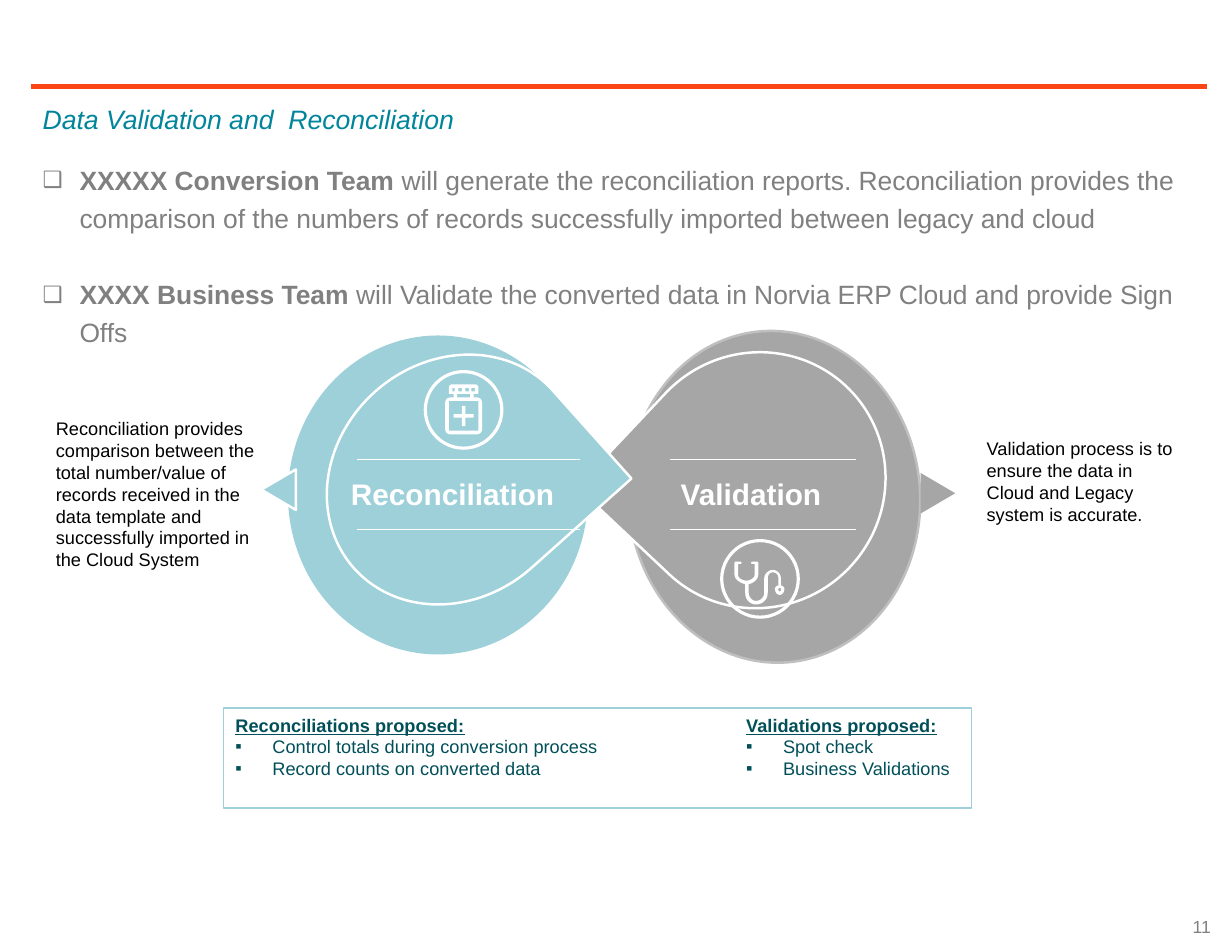
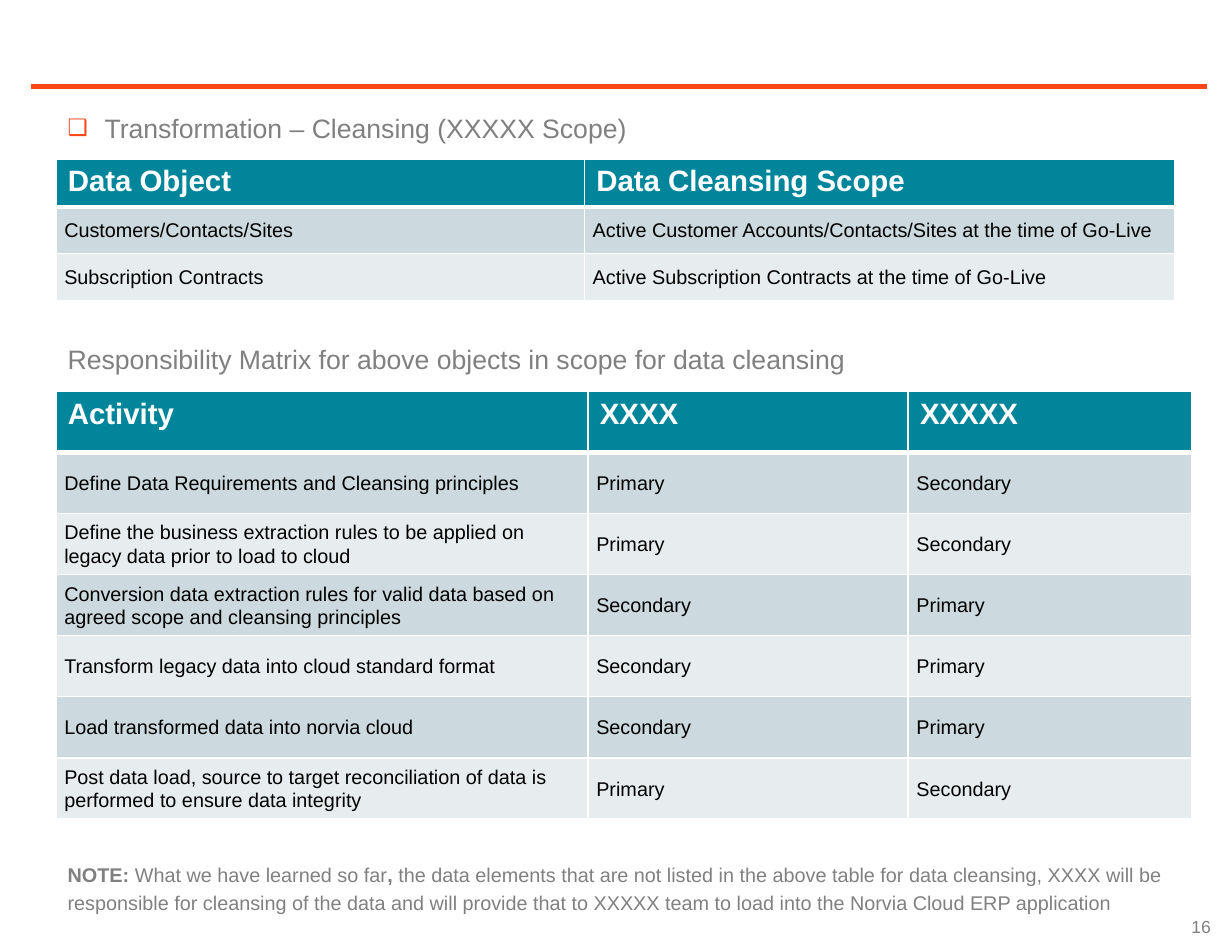
"""Build two slides on data validation, reconciliation and cleansing."""
from lxml import etree
from pptx import Presentation
from pptx import util as u
from pptx.dml.color import RGBColor
from pptx.enum import shapes, text
from pptx.oxml import ns

ORANGE = RGBColor(0xFA, 0x46, 0x16)
TEAL = RGBColor(0x00, 0x85, 0x9B)
DARK_TEAL = RGBColor(0x00, 0x4F, 0x59)
AQUA = RGBColor(0x9D, 0xD0, 0xD9)
GRAY = RGBColor(0x80, 0x80, 0x80)
MID_GRAY = RGBColor(0xA6, 0xA6, 0xA6)
SILVER = RGBColor(0xBF, 0xBF, 0xBF)
BANDS = RGBColor(0xE7, 0xED, 0xEF), RGBColor(0xCC, 0xD9, 0xDE)
BLACK = RGBColor(0, 0, 0)
WHITE = RGBColor(255, 255, 255)

FONT = "Arial"
COLUMNS, ROWS = 103.5, 80
CELL = u.Inches(0.1)
BOX, SQUARE = "❑", "▪"
LEFT, MIDDLE = 2.6, 4.7
CONTENT = 98.8

deck = Presentation()
deck.slide_width, deck.slide_height = int(COLUMNS * CELL), int(ROWS * CELL)
validation, cleansing = [deck.slides.add_slide(deck.slide_layouts[6]) for _ in range(2)]


def write(frame, size, color, lines, spacing=None, bullet_color=None, gap=0):
    """Fill a frame with (bullet, runs) lines; each run is (words, style letters)."""
    frame.word_wrap = True
    for index, (bullet, runs) in enumerate(lines):
        para = frame.paragraphs[0] if index == 0 else frame.add_paragraph()
        para.alignment = text.PP_ALIGN.LEFT
        para.line_spacing = spacing
        para.space_before = u.Pt(gap if index else 0)
        if bullet:
            props = para._p.get_or_add_pPr()
            props.set("marL", str(u.Inches(0.31)))
            props.set("indent", str(-u.Inches(0.31)))
            tint = etree.SubElement(props, ns.qn("a:buClr"))
            etree.SubElement(tint, ns.qn("a:srgbClr"), val=str(bullet_color or color))
            if bullet == BOX:
                etree.SubElement(props, ns.qn("a:buSzPct"), val="85000")
            etree.SubElement(props, ns.qn("a:buFont"), typeface=FONT)
            etree.SubElement(props, ns.qn("a:buChar"), char=bullet)
        for words, style in runs:
            run = para.add_run()
            run.text = words
            run.font.name, run.font.size = FONT, u.Pt(size)
            run.font.color.rgb = color
            run.font.bold = "b" in style
            run.font.italic = "i" in style
            run.font.underline = "u" in style


def rule(slide, start, end, row, color, width):
    """Draw a horizontal line between two columns."""
    line = slide.shapes.add_connector(
        shapes.MSO_CONNECTOR.STRAIGHT, *[int(n * CELL) for n in (start, row, end, row)])
    line.line.color.rgb, line.line.width = color, u.Pt(width)
    etree.SubElement(line._element.spPr, ns.qn("a:effectLst"))


for slide, number in ((validation, "11"), (cleansing, "16")):
    rule(slide, LEFT, 101.4, 7.3, ORANGE, 3)
    footer = slide.shapes.add_textbox(*[int(n * CELL) for n in (79.4, 75.7, 23.3, 4.3)]).text_frame
    write(footer, 10.6, GRAY, [("", [(number, "")])])
    footer.vertical_anchor = text.MSO_ANCHOR.MIDDLE
    footer.paragraphs[0].alignment = text.PP_ALIGN.RIGHT

KIND = shapes.MSO_SHAPE
diagram = [
    (KIND.OVAL, (24.3, 28.3, 25, 26.6), 0, AQUA, AQUA, 1.5),
    (KIND.OVAL, (52.8, 27.8, 24.5, 27.9), 175.1, MID_GRAY, SILVER, 1.5),
    (KIND.TEAR, (53, 29.5, 21.3, 21.7), 223.3, MID_GRAY, WHITE, 1.5),
    (KIND.TEAR, (28.2, 29.1, 19.8, 22.4), 48.2, AQUA, WHITE, 1.5),
    (KIND.ISOSCELES_TRIANGLE, (77.1, 40, 3.4, 2.9), 90, MID_GRAY, None, 0),
    (KIND.ISOSCELES_TRIANGLE, (21.7, 39.7, 3.4, 2.9), 270, AQUA, WHITE, 1.5),
    (KIND.DONUT, (60.5, 45.3, 6.7, 6.7), 0, WHITE, None, 0),
    (KIND.DONUT, (35.6, 31.1, 6.7, 6.7), 0, WHITE, None, 0),
    (KIND.RECTANGLE, (18.8, 59.5, 62.8, 8.4), 0, None, AQUA, 0.75),
]
for kind, box, turn, fill, outline, width in diagram:
    part = validation.shapes.add_shape(kind, *[int(n * CELL) for n in box])
    part.shadow.inherit = False
    part.rotation = turn
    if kind == KIND.DONUT:
        part.adjustments[0] = 0.04
    if fill is None:
        part.fill.background()
    else:
        part.fill.solid()
        part.fill.fore_color.rgb = fill
    if outline is None:
        part.line.fill.background()
    else:
        part.line.color.rgb, part.line.width = outline, u.Pt(width)

for start, end in ((30, 48.7), (56.3, 71.9)):
    for row in (38.6, 44.5):
        rule(validation, start, end, row, WHITE, 0.5)

stethoscope = [
    [(39, 20), (39, 14), (39, 10, 36, 7, 32, 7), (29, 7, 25, 10, 25, 14), (25, 26),
     (25, 30, 22, 33, 18, 33), (15, 33, 12, 30, 12, 26), (12, 19), (16, 18, 20, 15, 20, 11),
     (20, 1), (20, 0, 19, 0, 18, 0), (16, 0), (15, 0, 14, 0, 14, 1), (14, 2, 15, 2, 16, 2),
     (17, 2), (17, 11), (17, 14, 13, 16, 10, 16), (7, 16, 3, 14, 3, 11), (3, 2), (5, 2),
     (5, 2, 6, 2, 6, 1), (6, 0, 5, 0, 5, 0), (2, 0), (1, 0, 0, 0, 0, 1), (0, 11),
     (0, 15, 5, 18, 9, 19), (9, 26), (9, 32, 13, 36, 18, 36), (24, 36, 28, 32, 28, 26),
     (28, 14), (28, 11, 30, 9, 32, 9), (35, 9, 37, 11, 37, 14), (37, 20),
     (35, 20, 34, 22, 34, 23), (34, 26, 36, 28, 38, 28), (40, 28, 42, 26, 42, 23),
     (42, 22, 41, 20, 39, 20)],
    [(38, 25), (37, 25, 37, 24, 37, 23), (37, 23, 37, 22, 38, 22),
     (39, 22, 39, 23, 39, 23), (39, 24, 39, 25, 38, 25)],
]
bottle = [
    [(27, 11), (24, 11), (24, 8), (27, 8), (27, 8, 28, 8, 28, 7), (28, 4), (28, 1, 27, 0, 25, 0),
     (6, 0), (4, 0, 3, 1, 3, 4), (3, 7), (3, 8, 3, 8, 4, 8), (7, 8), (7, 11), (4, 11),
     (2, 11, 0, 13, 0, 15), (0, 38), (0, 40, 2, 42, 4, 42), (27, 42), (29, 42, 31, 40, 31, 38),
     (31, 15), (31, 13, 29, 11, 27, 11)],
    [(14, 18), (17, 18), (17, 25), (24, 25), (24, 28), (17, 28),
     (17, 35), (14, 35), (14, 28), (7, 28), (7, 25), (14, 25)],
]
openings = [(6, 3, 8, 6), (11, 3, 14, 6), (17, 3, 20, 6), (22, 3, 25, 6), (10, 8, 21, 11), (3, 14, 28, 39)]
bottle += [[(x1, y1), (x2, y1), (x2, y2), (x1, y2)] for x1, y1, x2, y2 in openings]

STEPS = 6
for contours, column, row in ((stethoscope, 61.7, 47.2), (bottle, 37.4, 32.3)):
    pen = None
    for start, *segments in contours:
        points, last = [], start
        for segment in segments:
            if len(segment) == 2:
                points.append(segment)
            else:
                knots = [last, segment[:2], segment[2:4], segment[4:]]
                for step in range(1, STEPS + 1):
                    t = step / STEPS
                    weights = (1 - t) ** 3, 3 * t * (1 - t) ** 2, 3 * t * t * (1 - t), t ** 3
                    points.append([sum(w * k[axis] for w, k in zip(weights, knots)) for axis in (0, 1)])
            last = segment[-2:]
        origin = [10 * n for n in start]
        if pen is None:
            pen = validation.shapes.build_freeform(*origin, scale=CELL / 100)
        else:
            pen.move_to(*origin)
        pen.add_line_segments([(10 * x, 10 * y) for x, y in points], close=True)
    icon = pen.convert_to_shape(int(column * CELL), int(row * CELL))
    icon.shadow.inherit = False
    icon.fill.solid()
    icon.fill.fore_color.rgb = WHITE
    icon.line.fill.background()

passages = [
    (validation, (LEFT, 7.6, CONTENT, 4.4), 16.1, TEAL, 1.2, None,
     [("", [("Data Validation and  Reconciliation", "i")])]),
    (validation, (LEFT, 12.8, CONTENT, 63), 16, GRAY, 1.2, GRAY, [
        (BOX, [("XXXXX Conversion Team ", "b"),
               ("will generate the reconciliation reports. Reconciliation provides the comparison of "
                "the numbers of records successfully imported between legacy and cloud", "")]),
        (BOX, [("XXXX Business Team ", "b"),
               ("will Validate the converted data in Norvia ERP Cloud and provide Sign Offs", "")])]),
    (validation, (28.5, 39.5, 19.3, 4), 18, WHITE, None, None, [("", [("Reconciliation", "b")])]),
    (validation, (56.2, 39.5, 13.9, 4), 18, WHITE, None, None, [("", [("Validation", "b")])]),
    (validation, (MIDDLE - 1, 34.6, 19.8, 14), 11, BLACK, None, None,
     [("", [("Reconciliation provides comparison between the total number/value of records received "
             "in the data template and successfully imported in the Cloud System", "")])]),
    (validation, (81.9, 36.3, 18.1, 8.4), 11, BLACK, None, None,
     [("", [("Validation process is to ensure the data in Cloud and Legacy system is accurate.", "")])]),
    (validation, (18.8, 59.5, 42.5, 8.4), 11, DARK_TEAL, None, None, [
        ("", [("Reconciliations proposed:", "bu")]),
        (SQUARE, [("Control totals during conversion process", "")]),
        (SQUARE, [("Record counts on converted data", "")])]),
    (validation, (61.7, 59.5, 41.8, 8.4), 11, DARK_TEAL, None, None, [
        ("", [("Validations proposed:", "bu")]),
        (SQUARE, [("Spot check", "")]),
        (SQUARE, [("Business Validations", "")])]),
    (cleansing, (MIDDLE, 8.4, 49.5, 4), 16.1, GRAY, 1.2, ORANGE,
     [(BOX, [("Transformation – Cleansing (XXXXX Scope)", "")])]),
    (cleansing, (MIDDLE, 27.8, 67.8, 4), 16.1, GRAY, 1.2, None,
     [("", [("Responsibility Matrix for above objects in scope for data cleansing", "")])]),
    (cleansing, (MIDDLE, 71.6, 94, 5.6), 12, GRAY, 1.2, None,
     [("", [("NOTE: ", "b"), ("What we have learned so far", ""), (", ", "b"),
            ("the data elements that are not listed in the above table for data cleansing, XXXX will be "
             "responsible for cleansing of the data and will provide that to XXXXX team to load into "
             "the Norvia Cloud ERP application", "")])]),
]
for slide, box, size, color, spacing, bullet_color, lines in passages:
    frame = slide.shapes.add_textbox(*[int(n * CELL) for n in box]).text_frame
    write(frame, size, color, lines, spacing, bullet_color, gap=23 if size == 16 else 0)

FIRST, SECOND = ("Primary", "Secondary"), ("Secondary", "Primary")
scope = [
    ("Data Object", "Data Cleansing Scope"),
    ("Customers/Contacts/Sites", "Active Customer Accounts/Contacts/Sites at the time of Go-Live"),
    ("Subscription Contracts", "Active Subscription Contracts at the time of Go-Live"),
]
responsibilities = [
    ("Activity", "XXXX", "XXXXX"),
    ("Define Data Requirements and Cleansing principles", *FIRST),
    ("Define the business extraction rules to be applied on legacy data prior to load to cloud", *FIRST),
    ("Conversion data extraction rules for valid data based on agreed scope and cleansing principles", *SECOND),
    ("Transform legacy data into cloud standard format", *SECOND),
    ("Load transformed data into norvia cloud", *SECOND),
    ("Post data load, source to target reconciliation of data is performed to ensure data integrity", *FIRST),
]
for records, top, widths, height in (
        (scope, 13.4, (44.4, 49.6), 3.95), (responsibilities, 32.9, (44.7, 26.9, 23.8), 5.13)):
    area = (MIDDLE, top, sum(widths), height * len(records))
    grid = cleansing.shapes.add_table(len(records), len(widths), *[int(n * CELL) for n in area]).table
    for column, width in zip(grid.columns, widths):
        column.width = int(width * CELL)
    for r, record in enumerate(records):
        grid.rows[r].height = int(height * CELL)
        for c, words in enumerate(record):
            cell = grid.cell(r, c)
            cell.fill.solid()
            if r == 0:
                cell.fill.fore_color.rgb = TEAL
                write(cell.text_frame, 17.8, WHITE, [("", [(words, "b")])])
            else:
                cell.fill.fore_color.rgb = BANDS[r % 2]
                cell.vertical_anchor = text.MSO_ANCHOR.MIDDLE
                cell.margin_left = cell.margin_right = u.Inches(0.07)
                cell.margin_top = cell.margin_bottom = 0
                write(cell.text_frame, 12, BLACK, [("", [(words, "")])], 1.07)
            props = cell._tc.get_or_add_tcPr()
            for place, side in enumerate(("lnL", "lnR", "lnT", "lnB")):
                heavy = (r == 0 and side == "lnB") or (r == 1 and side == "lnT")
                border = etree.Element(ns.qn("a:" + side), w=str(u.Pt(3 if heavy else 1)))
                paint = etree.SubElement(border, ns.qn("a:solidFill"))
                etree.SubElement(paint, ns.qn("a:srgbClr"), val=str(WHITE))
                props.insert(place, border)

deck.save("out.pptx")
